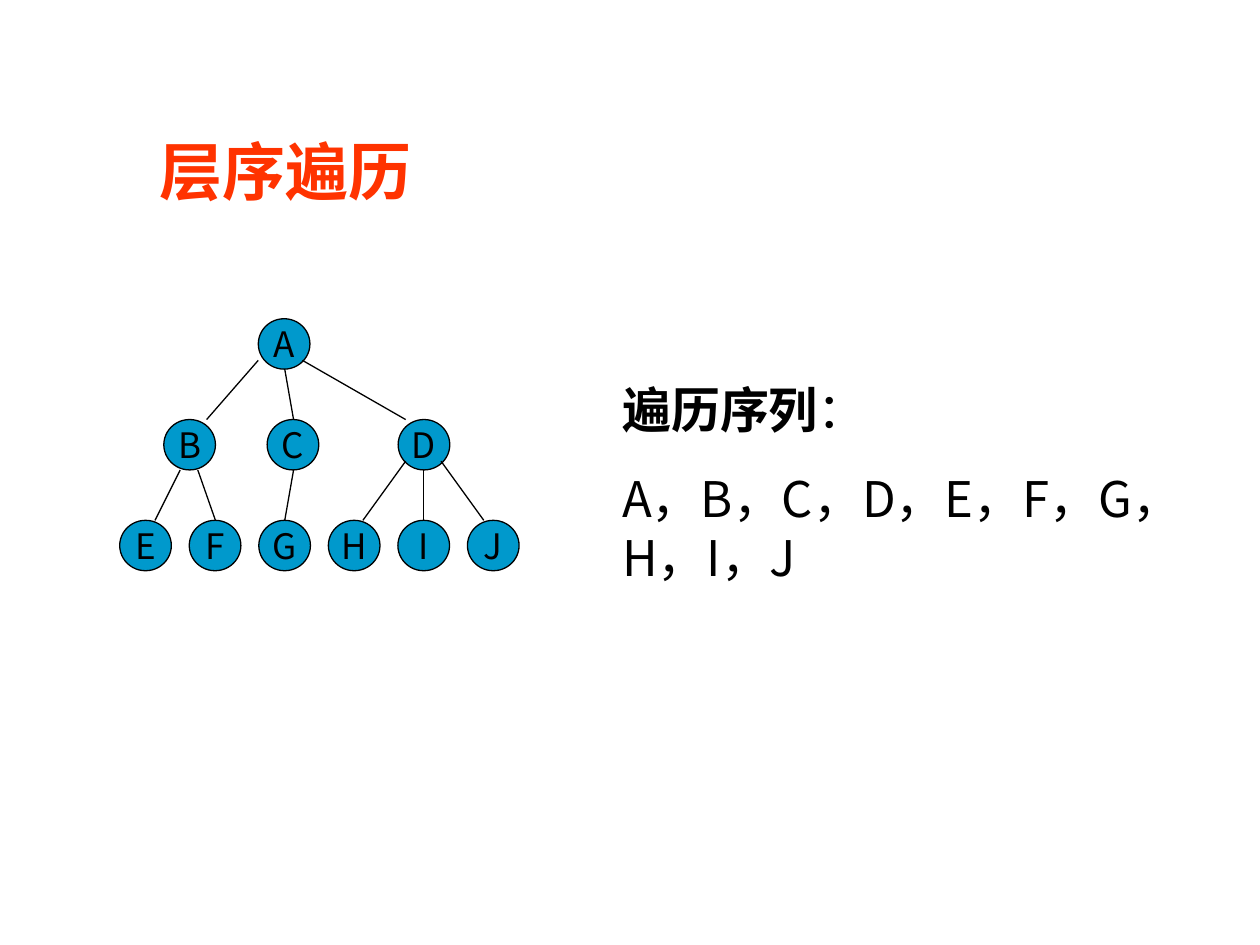
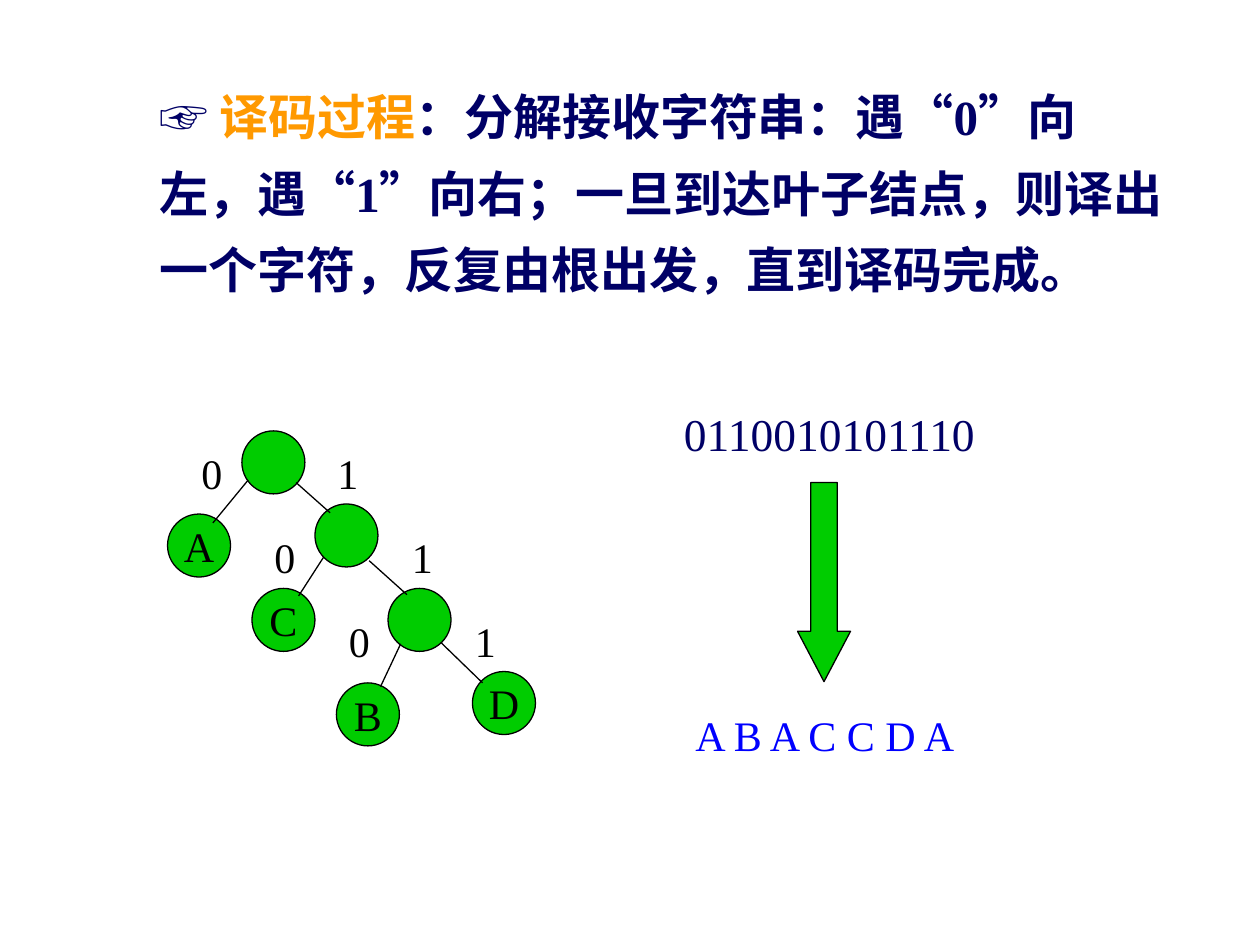
"""Build two slides on level-order traversal and Huffman decoding."""
from lxml.etree import SubElement
from pptx import Presentation
from pptx.dml.color import RGBColor
from pptx.enum.shapes import MSO_CONNECTOR, MSO_SHAPE
from pptx.enum.text import MSO_ANCHOR, PP_ALIGN
from pptx.oxml.ns import qn
from pptx.util import Inches, Pt

BLACK = RGBColor(0x00, 0x00, 0x00)
RED = RGBColor(0xFF, 0x33, 0x00)
ORANGE = RGBColor(0xFF, 0x99, 0x00)
NAVY = RGBColor(0x00, 0x00, 0x66)
BLUE = RGBColor(0x00, 0x00, 0xFF)
TEAL = RGBColor(0x00, 0x99, 0xCC)
GREEN = RGBColor(0x00, 0xCC, 0x00)
SANS = "Noto Sans CJK JP"
SERIF = "Times New Roman"


def set_font(paragraph, size, name, color, bold=False):
    font = paragraph.font
    font.size, font.name, font.bold = Pt(size), name, bold
    font.color.rgb = color
    SubElement(font._element, qn("a:ea"), typeface=SANS)


def add_text_box(shapes, box, text, size, name, color, bold=False):
    frame = shapes.add_textbox(*map(Inches, box)).text_frame
    frame.word_wrap = True
    paragraph = frame.paragraphs[0]
    paragraph.text = text
    paragraph._p.get_or_add_pPr().set("hangingPunct", "0")
    set_font(paragraph, size, name, color, bold)
    return frame


presentation = Presentation()
presentation.slide_width, presentation.slide_height = Inches(10), Inches(7.5)
blank = presentation.slide_layouts[6]
traversal = presentation.slides.add_slide(blank)
decoding = presentation.slides.add_slide(blank)

add_text_box(traversal.shapes, (1.17, 1, 3.17, 0.7), "层序遍历", 36, SANS, RED, True)
sequence = add_text_box(traversal.shapes, (4.84, 2.96, 4.67, 1.75), "遍历序列", 28, SANS, BLACK, True)
colon = sequence.paragraphs[0].add_run()
colon.text = "："
colon.font.bold = False
order = sequence.add_paragraph()
order.text = "，".join("ABCDEFGHIJ")
order.space_before = Pt(17.5)
set_font(order, 28, SANS, BLACK)

process = add_text_box(decoding.shapes, (1.17, 0.5, 8.17, 2.49), "☞ ", 28, SERIF, NAVY, True).paragraphs[0]
process.line_spacing = 1.3
process.runs[0].font.name = "Arial"
term = process.add_run()
term.text = "译码过程"
term.font.color.rgb = ORANGE
process.add_run().text = (
    "：分解接收字符串：遇“0”向左，遇“1”向右；一旦到达叶子结点，"
    "则译出一个字符，反复由根出发，直到译码完成。"
)

arrow = decoding.shapes.add_shape(
    MSO_SHAPE.DOWN_ARROW, Inches(6.33), Inches(3.83), Inches(0.42), Inches(1.58))
arrow.adjustments[0], arrow.adjustments[1] = 0.5, 0.95
arrow.shadow.inherit = False
arrow.fill.solid()
arrow.fill.fore_color.rgb = GREEN
arrow.line.color.rgb = BLACK
arrow.line.width = Pt(0.75)
add_text_box(decoding.shapes, (5.33, 3.17, 2.75, 0.54), "0110010101110", 26, SERIF, NAVY)
add_text_box(decoding.shapes, (5.42, 5.58, 2.83, 0.5), "A B A C C D A", 24, SERIF, BLUE)

level_nodes = [("A", 2.05, 2.53), ("B", 1.3, 3.33), ("C", 2.12, 3.33), ("D", 3.16, 3.33)]
level_nodes += [(letter, 0.95 + 2.76 * column / 5, 4.13) for column, letter in enumerate("EFGHIJ")]
level_edges = [
    (2.05, 2.86, 1.64, 3.33), (2.26, 2.93, 2.33, 3.33), (2.4, 2.86, 3.22, 3.33),
    (1.43, 3.73, 1.23, 4.13), (1.57, 3.73, 1.71, 4.13), (2.33, 3.73, 2.26, 4.13),
    (3.22, 3.66, 2.88, 4.13), (3.36, 3.73, 3.36, 4.13), (3.5, 3.66, 3.84, 4.13),
]
code_nodes = [
    ("", 1.92, 3.42), ("", 2.5, 4), ("", 3.08, 4.67),
    ("A", 1.33, 4.08), ("C", 2, 4.67), ("B", 2.67, 5.42), ("D", 3.75, 5.33),
]
code_edges = [
    (1.97, 3.81, 1.69, 4.15), (2.35, 3.83, 2.62, 4.07), (2.57, 4.42, 2.37, 4.73),
    (2.93, 4.45, 3.23, 4.72), (3.18, 5.11, 3.02, 5.45), (3.5, 5.1, 3.83, 5.42),
]
trees = [
    (traversal, level_nodes, level_edges, 0.41, 0.4, TEAL, 20, SANS),
    (decoding, code_nodes, code_edges, 0.5, 0.5, GREEN, 24, SERIF),
]
for slide, nodes, edges, width, height, fill, size, name in trees:
    for letter, left, top in nodes:
        node = slide.shapes.add_shape(
            MSO_SHAPE.OVAL, Inches(left), Inches(top), Inches(width), Inches(height))
        node.shadow.inherit = False
        node.fill.solid()
        node.fill.fore_color.rgb = fill
        node.line.color.rgb = BLACK
        node.line.width = Pt(0.75)
        if letter:
            frame = node.text_frame
            frame.word_wrap = False
            frame.vertical_anchor = MSO_ANCHOR.MIDDLE
            paragraph = frame.paragraphs[0]
            paragraph.text = letter
            paragraph.alignment = PP_ALIGN.CENTER
            set_font(paragraph, size, name, BLACK)
    for edge in edges:
        connector = slide.shapes.add_connector(MSO_CONNECTOR.STRAIGHT, *map(Inches, edge))
        connector.line.color.rgb = BLACK
        connector.line.width = Pt(0.75)
        SubElement(connector._element.spPr, qn("a:effectLst"))

branch_labels = [(1.5, 2.58), (2.08, 3.17), (2.67, 3.67)]
for level, lefts in enumerate(branch_labels):
    for bit, left in zip("01", lefts):
        add_text_box(decoding.shapes, (left, 3.5 + level * 2 / 3, 0.58, 0.5), bit, 24, SERIF, BLACK)

presentation.save("out.pptx")
